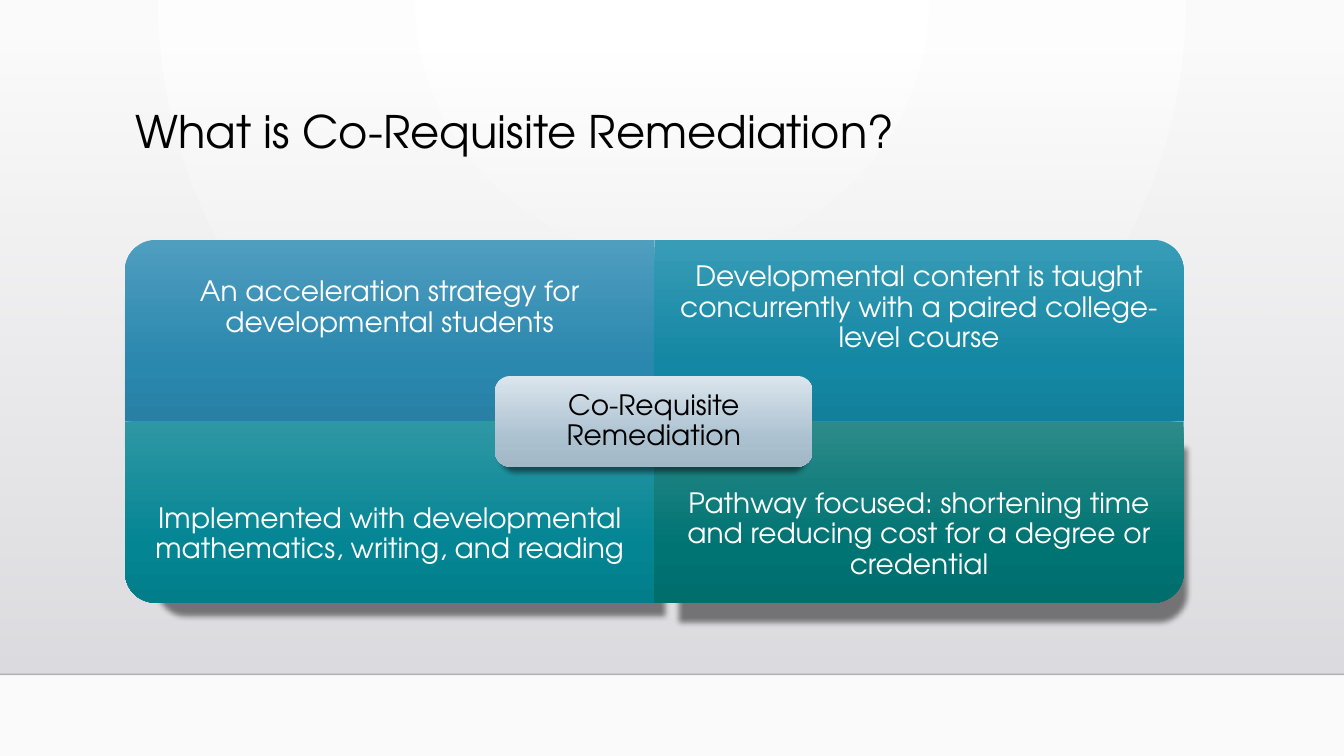
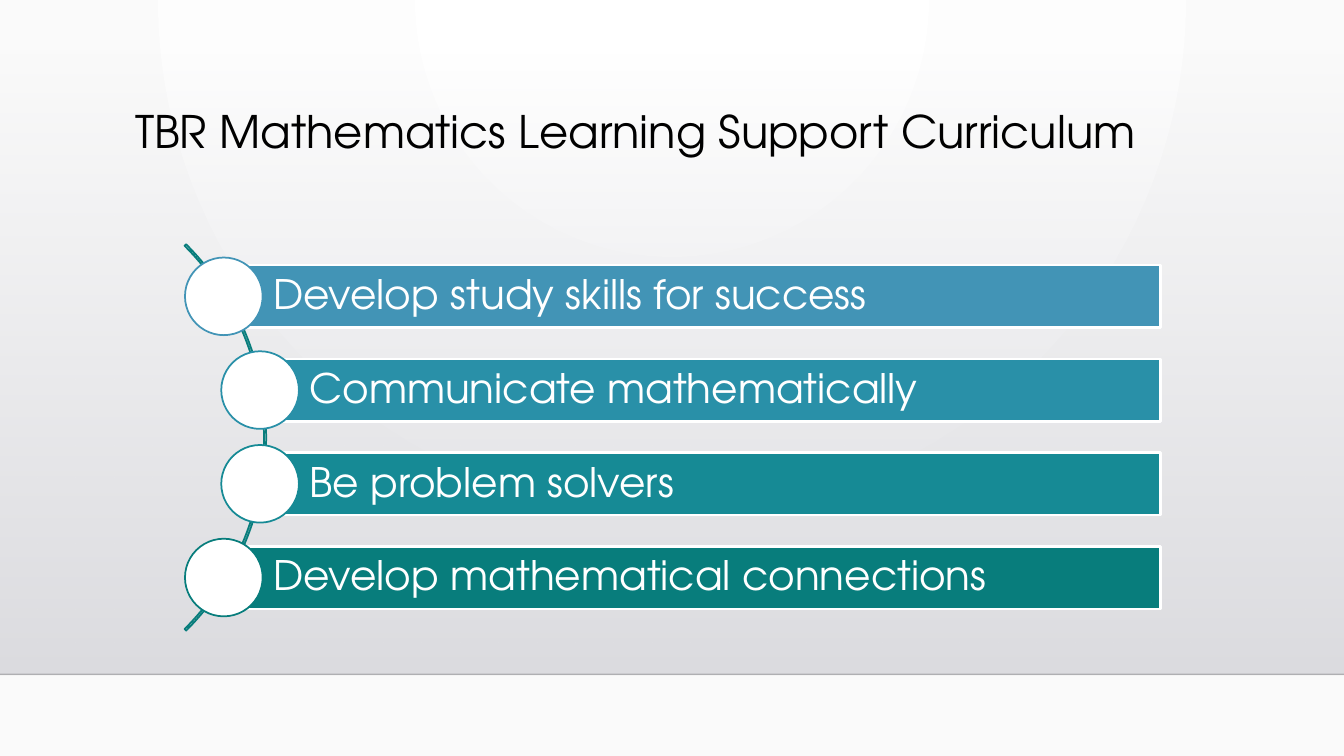
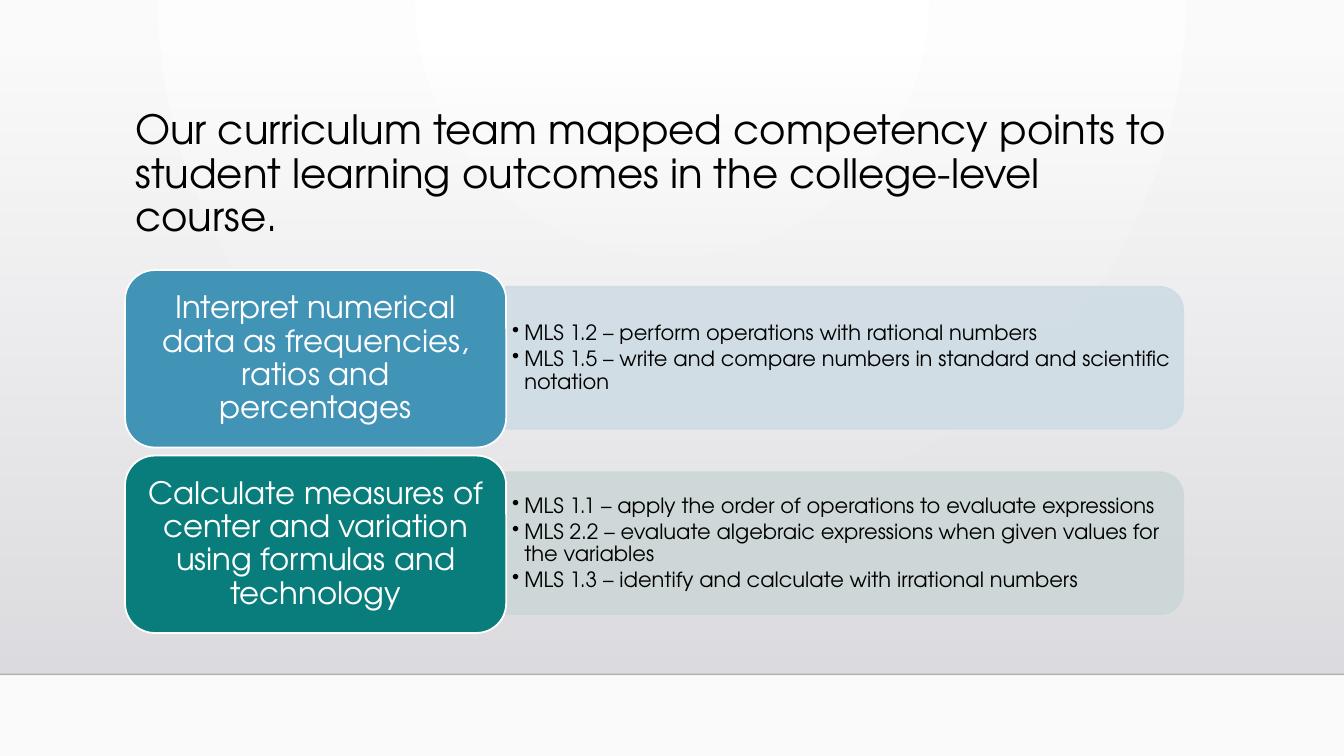
from copy import deepcopy

from lxml.etree import SubElement
from pptx import Presentation
from pptx.dml.color import RGBColor
from pptx.enum.shapes import MSO_CONNECTOR, MSO_SHAPE
from pptx.enum.text import MSO_ANCHOR, MSO_AUTO_SIZE, PP_ALIGN
from pptx.oxml.ns import qn
from pptx.util import Inches, Pt

FONT = "TeX Gyre Adventor"
BLACK = RGBColor(0x00, 0x00, 0x00)
WHITE = RGBColor(0xFF, 0xFF, 0xFF)
PAPER = RGBColor(0xFA, 0xFA, 0xFA)
MIST = RGBColor(0xDC, 0xDC, 0xE0)
FOG = RGBColor(0xDE, 0xDE, 0xE2)
RULE = RGBColor(0x00, 0x00, 0x01)
BLUE = RGBColor(0x42, 0x94, 0xB6)
CYAN = RGBColor(0x29, 0x90, 0xA8)
TURQUOISE = RGBColor(0x16, 0x8A, 0x95)
TEAL = RGBColor(0x08, 0x7D, 0x7C)
PALE_BLUE = RGBColor(0xCF, 0xDC, 0xE5)
PALE_TEAL = RGBColor(0xCC, 0xD7, 0xD7)

# Gradients, top to bottom: (position, colour)
BLUE_FADE = [(0, RGBColor(0x4F, 0x9E, 0xC0)), (0.69, RGBColor(0x2A, 0x87, 0xAE)),
             (1, RGBColor(0x28, 0x80, 0xA5))]
CYAN_FADE = [(0, RGBColor(0x38, 0x9C, 0xB7)), (0.69, RGBColor(0x13, 0x87, 0xA3)),
             (1, RGBColor(0x12, 0x80, 0x9B))]
TURQUOISE_FADE = [(0, RGBColor(0x2F, 0x97, 0xA4)), (0.69, RGBColor(0x03, 0x85, 0x93)),
                  (1, RGBColor(0x02, 0x7E, 0x8B))]
TEAL_FADE = [(0, RGBColor(0x2C, 0x8B, 0x8A)), (0.69, RGBColor(0x00, 0x74, 0x73)),
             (1, RGBColor(0x00, 0x6E, 0x6D))]
SILVER_FADE = [(0, RGBColor(0xDB, 0xE5, 0xED)), (0.69, RGBColor(0xAB, 0xC1, 0xD0)),
               (1, RGBColor(0xA3, 0xB7, 0xC5))]


def add_block(slide, kind, box, fill=None, line=None, width=1.25):
    """Add a shape; fill is a colour, a list of gradient stops or None."""
    block = slide.shapes.add_shape(kind, *[Inches(length) for length in box])
    block.shadow.inherit = False
    if fill is None:
        block.fill.background()
    elif isinstance(fill, list):
        block.fill.gradient()
        block.fill.gradient_angle = 270
        block.element.spPr.find(qn("a:gradFill")).set("rotWithShape", "0")
        stop_list = block.element.spPr.find(".//" + qn("a:gsLst"))
        while len(stop_list) < len(fill):
            stop_list.append(deepcopy(stop_list[-1]))
        for stop, (position, colour) in zip(block.fill.gradient_stops, fill):
            stop.position = position
            stop.color.rgb = colour
    else:
        block.fill.solid()
        block.fill.fore_color.rgb = fill
    if line is None:
        block.line.fill.background()
    else:
        block.line.color.rgb = line
        block.line.width = Pt(width)
    return block


def write(shape, text, size, colour, insets, align=PP_ALIGN.CENTER, anchor=MSO_ANCHOR.MIDDLE):
    """Set and format the text; insets are left, top, right, bottom."""
    frame = shape.text_frame
    frame.text = text
    frame.word_wrap = True
    frame.auto_size = MSO_AUTO_SIZE.NONE
    frame.vertical_anchor = anchor
    (frame.margin_left, frame.margin_top,
     frame.margin_right, frame.margin_bottom) = [Inches(inset) for inset in insets]
    for paragraph in frame.paragraphs:
        paragraph.alignment = align
        paragraph.line_spacing = 0.9
        for run in paragraph.runs:
            run.font.name = FONT
            run.font.size = Pt(size)
            run.font.color.rgb = colour


prs = Presentation()
prs.slide_width = Inches(13.33)
prs.slide_height = Inches(7.5)

# Shared layout: title place and round background glow
layout = prs.slide_layouts[5]
for placeholder in list(layout.placeholders):
    if placeholder.placeholder_format.idx:
        layout.shapes.element.remove(placeholder.element)
    else:
        placeholder.left, placeholder.top = Inches(1.24), Inches(1.04)
        placeholder.width, placeholder.height = Inches(10.5), Inches(1.15)
glow = layout.background.fill
glow.gradient()
for stop, colour in zip(glow.gradient_stops, (WHITE, PAPER)):
    stop.color.rgb = colour
glow_xml = layout.element.find(".//" + qn("a:gradFill"))
glow_xml.remove(glow_xml.find(qn("a:lin")))
circle_xml = SubElement(glow_xml, qn("a:path"), {"path": "circle"})
SubElement(circle_xml, qn("a:fillToRect"), l="43000", t="0", r="43000", b="100000")

# Slides and titles
titles = [
    ("What is Co-Requisite Remediation?", 32),
    ("TBR Mathematics Learning Support Curriculum", 32),
    ("Our curriculum team mapped competency points to student learning outcomes "
     "in the college-level course.", 28.8),
]
slides = []
for title, size in titles:
    slide = prs.slides.add_slide(layout)
    write(slide.shapes.title, title, size, BLACK, (0.1, 0.05, 0.1, 0.05),
          PP_ALIGN.LEFT, MSO_ANCHOR.TOP)
    slides.append(slide)
definition, curriculum, mapping = slides

# Shared layout: grey backdrop and floor line, moved from the first slide
backdrop = add_block(definition, MSO_SHAPE.RECTANGLE, (0, 0.51, 13.33, 6.18),
                     [(0, MIST), (1, FOG)])
floor = definition.shapes.add_connector(
    MSO_CONNECTOR.STRAIGHT, 0, Inches(6.69), Inches(13.33), Inches(6.69))
floor.line.color.rgb = RULE
floor.line.width = Pt(1)
SubElement(floor.element.spPr, qn("a:effectLst"))
layout.shapes.element.insert(2, backdrop.element)
layout.shapes.element.insert(3, floor.element)
translucent = [(backdrop.element.spPr.find(".//" + qn("a:srgbClr")), 0),
               (floor.element.spPr.find(".//" + qn("a:srgbClr")), 20)]

# Slide 1: four quadrants around a centre label
QUAD_W, QUAD_H, QUAD_TEXT_H = 5.25, 1.8, 1.35
quadrants = [
    ("An acceleration strategy for developmental students", BLUE_FADE, 270),
    ("Developmental content is taught concurrently with a paired college-level course",
     CYAN_FADE, 0),
    ("Implemented with developmental mathematics, writing, and reading",
     TURQUOISE_FADE, 180),
    ("Pathway focused: shortening time and reducing cost for a degree or credential",
     TEAL_FADE, 90),
]
raised = []
for index, (text, fade, rotation) in enumerate(quadrants):
    row, column = divmod(index, 2)
    left, top = 1.24 + column * QUAD_W, 2.38 + row * QUAD_H
    width, height = (QUAD_H, QUAD_W) if rotation % 180 else (QUAD_W, QUAD_H)
    quadrant = add_block(
        definition, MSO_SHAPE.ROUND_1_RECTANGLE,
        (left + (QUAD_W - width) / 2, top + (QUAD_H - height) / 2, width, height), fade)
    quadrant.rotation = rotation
    raised.append(quadrant)
    caption = definition.shapes.add_textbox(
        Inches(left), Inches(top + row * (QUAD_H - QUAD_TEXT_H)),
        Inches(QUAD_W), Inches(QUAD_TEXT_H))
    write(caption, text, 20, WHITE, (0.16, 0.16, 0.16, 0.16))
centre = add_block(definition, MSO_SHAPE.ROUNDED_RECTANGLE, (4.91, 3.73, 3.15, 0.9),
                   SILVER_FADE)
write(centre, "Co-Requisite Remediation", 20, BLACK, (0.08, 0.08, 0.08, 0.08))
raised.append(centre)

for block in raised:
    effects = block.element.spPr.find(qn("a:effectLst"))
    shadow = SubElement(effects, qn("a:outerShdw"), blurRad="50800", dist="50800",
                        dir="5400000", sx="96000", sy="96000", rotWithShape="0")
    translucent.append((SubElement(shadow, qn("a:srgbClr"), val=str(BLACK)), 48))

# Slide 2: goals along an arc
arc = add_block(curriculum, MSO_SHAPE.BLOCK_ARC, (-2.78, 1.63, 5.42, 5.42), line=TEAL)
for index, angle in enumerate((189, 27, 0.004)):
    arc.adjustments[index] = angle
BAR_H, BAR_RIGHT, DOT = 0.62, 11.51, 0.77
goals = [
    ("Develop study skills for success", BLUE, 2.22),
    ("Communicate mathematically", CYAN, 2.58),
    ("Be problem solvers", TURQUOISE, 2.58),
    ("Develop mathematical connections", TEAL, 2.22),
]
for index, (text, colour, left) in enumerate(goals):
    top = 2.63 + index * 0.93
    bar = add_block(curriculum, MSO_SHAPE.RECTANGLE, (left, top, BAR_RIGHT - left, BAR_H),
                    colour, WHITE, 1.75)
    write(bar, text, 29, WHITE, (0.49, 0.08, 0.08, 0.08), PP_ALIGN.LEFT)
    add_block(curriculum, MSO_SHAPE.OVAL,
              (left - DOT / 2, top + (BAR_H - DOT) / 2, DOT, DOT), WHITE, colour)

# Slide 3: outcomes with their competency points
outcomes = [
    ("Interpret numerical data as frequencies, ratios and percentages", BLUE, PALE_BLUE,
     ["MLS 1.2 – perform operations with rational numbers",
      "MLS 1.5 – write and compare numbers in standard and scientific notation"]),
    ("Calculate measures of center and variation using formulas and technology",
     TEAL, PALE_TEAL,
     ["MLS 1.1 – apply the order of operations to evaluate expressions",
      "MLS 2.2 – evaluate algebraic expressions when given values for the variables",
      "MLS 1.3 – identify and calculate with irrational numbers"]),
]
for index, (text, colour, pale, points) in enumerate(outcomes):
    offset = index * 1.84
    panel = add_block(mapping, MSO_SHAPE.ROUND_2_SAME_RECTANGLE,
                      (7.67, 0.19 + offset, 1.41, 6.72), pale, pale)
    panel.rotation = 90
    translucent += [(tint, 90) for tint in panel.element.spPr.iter(qn("a:srgbClr"))]
    details = mapping.shapes.add_textbox(
        Inches(5.02), Inches(2.92 + offset), Inches(6.65), Inches(1.27))
    write(details, "\n".join(points), 15, BLACK, (0.06, 0.03, 0.06, 0.03), PP_ALIGN.LEFT)
    for paragraph in details.text_frame.paragraphs:
        paragraph.space_after = Pt(2.25)
        properties = paragraph._p.get_or_add_pPr()
        properties.set("marL", str(Inches(0.12)))
        properties.set("indent", str(-Inches(0.12)))
        SubElement(properties, qn("a:buChar"), char="•")
    outcome = add_block(mapping, MSO_SHAPE.ROUNDED_RECTANGLE,
                        (1.24, 2.68 + offset, 3.78, 1.76), colour, WHITE)
    write(outcome, text, 22, WHITE, (0.09, 0.05, 0.09, 0.05))

# Opacity, in percent
for tint, percent in translucent:
    SubElement(tint, qn("a:alpha"), val=str(percent * 1000))

prs.save("out.pptx")
